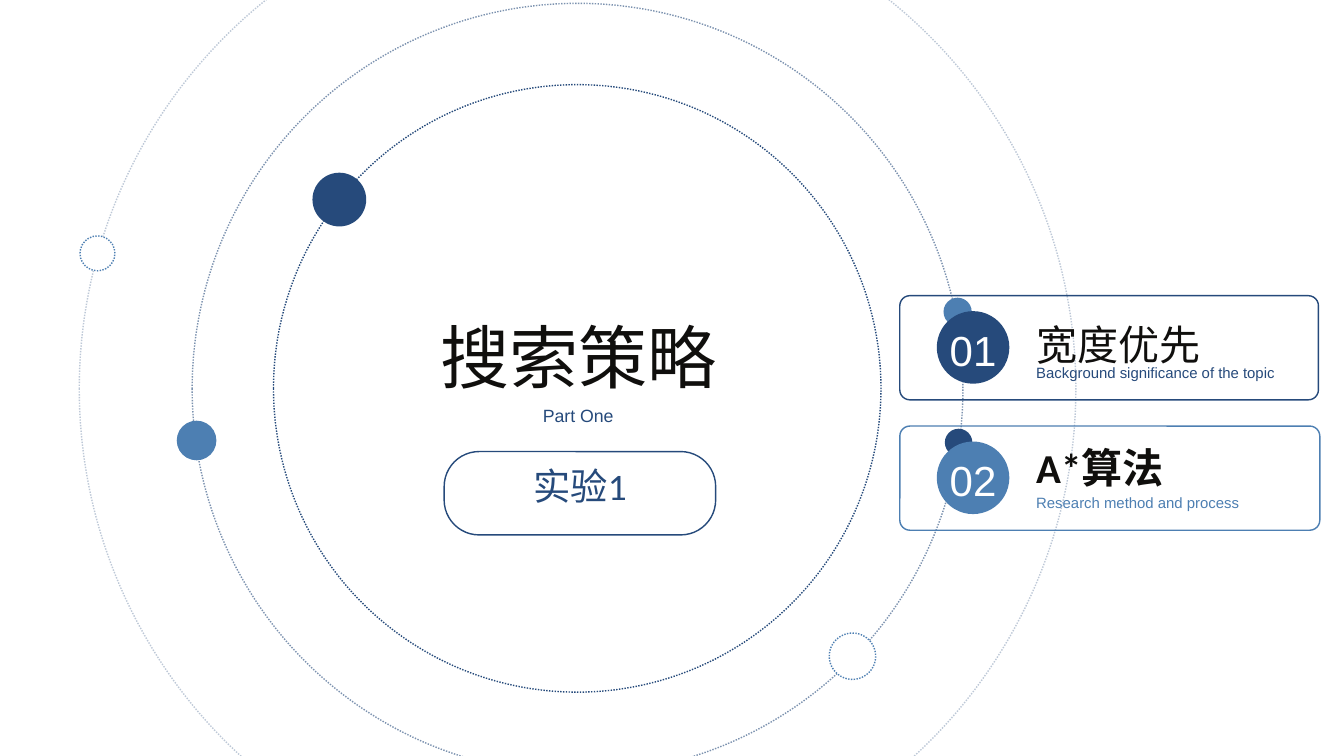
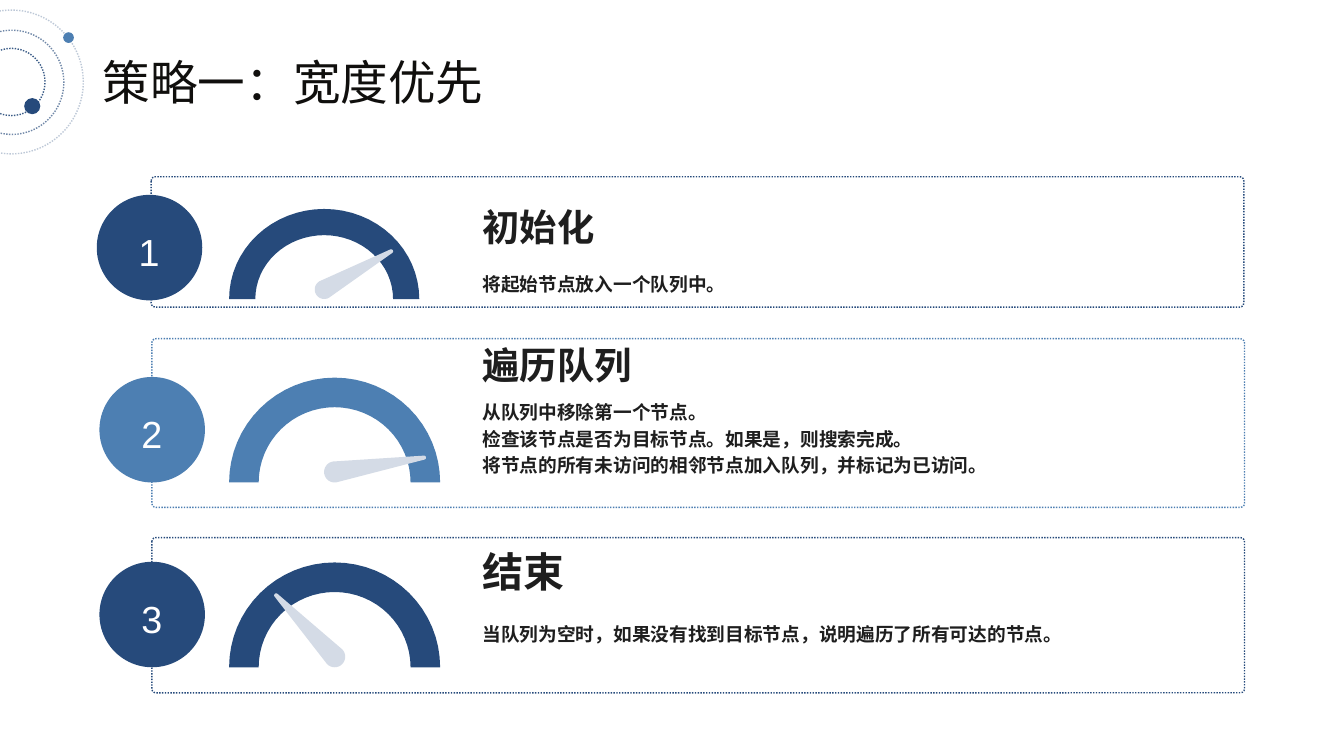
"""Build the two slides on search strategies, in px of a hundredth of an inch."""
from dataclasses import dataclass
from math import atan2, cos, pi, sin

from lxml import etree
from pptx import Presentation
from pptx.dml.color import RGBColor
from pptx.enum.dml import MSO_LINE
from pptx.enum.shapes import MSO_SHAPE
from pptx.enum.text import PP_ALIGN
from pptx.oxml.ns import qn
from pptx.util import Pt

PX = 9144
OVAL, ROUNDED = MSO_SHAPE.OVAL, MSO_SHAPE.ROUNDED_RECTANGLE
DOTTED = MSO_LINE.ROUND_DOT
LEFT, CENTER, JUSTIFY = PP_ALIGN.LEFT, PP_ALIGN.CENTER, PP_ALIGN.JUSTIFY


@dataclass(frozen=True)
class Theme:
    navy: str = "264A7B"
    blue: str = "4D7FB2"
    pale: str = "D4DBE6"
    white: str = "FFFFFF"
    ink: str = "100F0D"
    dark: str = "1E1E1E"
    title_font: str = "Calibri"
    latin_font: str = "Arial"
    chinese_font: str = "Noto Sans CJK SC"
    cover: float = 74
    title: float = 51
    number: float = 45
    card: float = 44
    step: float = 40
    step_number: float = 40.4
    body: float = 20
    subtitle: float = 19
    caption: float = 16
    line: float = 1.5


def arc(center, radius, start, end, steps=32):
    x, y = center
    angles = [start + (end - start) * i / steps for i in range(steps + 1)]
    return [(x + radius[0] * cos(a), y + radius[1] * sin(a)) for a in angles]


class Page:
    def __init__(self, deck, theme):
        self.deck, self.theme = deck, theme
        self.slide = None

    def new(self):
        self.slide = self.deck.slides.add_slide(self.deck.slide_layouts[6])

    def paint(self, shape, fill=None, line=None, dotted=False, opacity=100):
        shape.shadow.inherit = False
        if fill:
            shape.fill.solid()
            shape.fill.fore_color.rgb = RGBColor.from_string(fill)
        else:
            shape.fill.background()
        if not line:
            shape.line.fill.background()
            return
        shape.line.color.rgb = RGBColor.from_string(line)
        shape.line.width = Pt(self.theme.line)
        if dotted:
            shape.line.dash_style = DOTTED
        if opacity < 100:
            for color in shape.line._ln.iter(qn("a:srgbClr")):
                etree.SubElement(color, qn("a:alpha"), val=str(opacity * 1000))

    def preset(self, kind, box, **style):
        shape = self.slide.shapes.add_shape(kind, *(n * PX for n in box))
        self.paint(shape, **style)
        return shape

    def dot(self, left, top, size, **style):
        self.preset(OVAL, (left, top, size, size), **style)

    def panel(self, box, radius, **style):
        shape = self.preset(ROUNDED, box, **style)
        shape.adjustments[0] = radius / min(box[2:])

    def rings(self, x, y, sizes):
        for size, opacity in sizes:
            self.dot(x - size // 2, y - size // 2, size, line=self.theme.navy,
                     dotted=True, opacity=opacity)

    def outline(self, points, fill):
        points = [(round(x * PX), round(y * PX)) for x, y in points]
        builder = self.slide.shapes.build_freeform(*points[0])
        builder.add_line_segments(points[1:], close=True)
        self.paint(builder.convert_to_shape(), fill=fill)

    def gauge(self, left, base, width, height, band, tip, color):
        x = left + width / 2
        outer = arc((x, base), (width / 2, height), pi, 2 * pi)
        inner = arc((x, base), (width / 2 - band, height - band), 2 * pi, pi)
        self.outline(outer + inner, color)
        hub = width / 20
        pivot = (x, base - hub)
        angle = atan2(tip[1] - pivot[1], tip[0] - pivot[0])
        self.outline(arc(pivot, (hub, hub), angle + pi / 2, angle + 3 * pi / 2, 16)
                     + arc(tip, (3, 3), angle - pi / 2, angle + pi / 2, 8),
                     self.theme.pale)

    def text(self, box, words, size, spacing, color, font, align=LEFT, bold=False):
        frame = self.slide.shapes.add_textbox(*(n * PX for n in box)).text_frame
        frame.word_wrap = True
        frame.margin_left = frame.margin_right = 0
        frame.margin_top = frame.margin_bottom = 0
        frame.text = words
        for para in frame.paragraphs:
            para.alignment = align
            para.line_spacing = Pt(spacing)
            for span in para.runs:
                span.font.size = Pt(size)
                span.font.bold = bold
                span.font.color.rgb = RGBColor.from_string(color)
                span.font.name = font
                etree.SubElement(span.font._rPr, qn("a:ea"),
                                 typeface=self.theme.chinese_font)

    def card(self, top, width, color, accent, dot, number, name, name_box, name_spacing,
             caption, bold):
        theme = self.theme
        self.dot(*dot, fill=accent)
        self.panel((1339, top, width, 155), 15, line=color)
        self.text((1542, top + 24, 542, name_box), name, theme.card, name_spacing,
                  theme.ink, theme.title_font, bold=bold)
        self.text((1542, top + 101, 542, 27), caption, theme.caption, 19.2, color,
                  theme.latin_font)
        self.dot(1394, top + 23, 108, fill=color)
        self.text((1389, top + 43, 118, 76), number, theme.number, 54, theme.white,
                  theme.latin_font, CENTER)

    def step(self, number, color, panel, gauge, tip, heading, body, badge):
        theme = self.theme
        self.panel(panel, 6, line=color, dotted=True)
        self.gauge(341, *gauge, tip, color)
        top, height, words = body
        self.text((718, top, 1079, height), words, theme.body, 28.6, theme.dark,
                  theme.chinese_font, JUSTIFY, True)
        top, size, words = heading
        self.text((718, top, 289, 61), words, size, 43.7, theme.dark,
                  theme.chinese_font, bold=True)
        left, top = badge
        self.dot(left, top, 157, fill=color)
        self.text((left + 8, top + 50, 140, 68), number, theme.step_number, 48.4,
                  theme.white, theme.latin_font, CENTER)


def section_slide(page):
    theme = page.theme
    page.new()
    page.rings(859, 578, [(1483, 30), (1147, 60), (904, 100)])
    page.dot(465, 257, 80, fill=theme.navy)
    page.dot(263, 626, 59, fill=theme.blue)
    for left, top, size in [(1234, 942, 69), (119, 351, 52)]:
        page.dot(left, top, size, fill=theme.white, line=theme.blue, dotted=True)
    page.text((443, 456, 836, 137), "搜索策略", theme.cover, 97.7, theme.ink,
              theme.title_font, CENTER)
    page.text((534, 602, 653, 32), "Part One", theme.subtitle, 22.8, theme.navy,
              theme.latin_font, CENTER)
    page.panel((661, 672, 404, 124), 52, line=theme.navy)
    page.text((712, 712, 302, 44), "实验1", theme.step, 31.7, theme.navy,
              theme.title_font, CENTER)
    page.card(440, 623, theme.navy, theme.blue, (1404, 443, 42), "01", "宽度优先", 86,
              61.2, "Background significance of the topic", False)
    page.card(634, 625, theme.blue, theme.navy, (1406, 638, 41), "02", "A*算法", 74,
              52.8, "Research method and process", True)


def breadth_first_slide(page):
    theme = page.theme
    page.new()
    page.text((153, 79, 684, 86), "策略一：宽度优先", theme.title, 61.2, theme.ink,
              theme.title_font)
    page.rings(17, 122, [(214, 30), (155, 65), (100, 90)])
    page.dot(36, 146, 24, fill=theme.navy)
    page.dot(94, 48, 16, fill=theme.blue)
    page.step("1", theme.navy, (225, 263, 1626, 194), (445, 283, 134, 39), (582, 374),
              (310, theme.step, "初始化"),
              (399, 40, "将起始节点放入一个队列中。"), (144, 290))
    page.step("2", theme.blue, (226, 504, 1626, 251), (718, 314, 156, 44), (631, 681),
              (515, theme.step, "遍历队列"),
              (590, 170, "从队列中移除第一个节点。\n"
               "检查该节点是否为目标节点。如果是，则搜索完成。\n"
               "将节点的所有未访问的相邻节点加入队列，并标记为已访问。"), (148, 561))
    page.step("3", theme.navy, (226, 800, 1626, 231), (993, 314, 156, 44), (411, 886),
              (826, theme.card, "结束"),
              (921, 40, "当队列为空时，如果没有找到目标节点，说明遍历了所有可达的节点。"),
              (148, 836))


def main():
    deck = Presentation()
    deck.slide_width, deck.slide_height = 2000 * PX, 1125 * PX
    page = Page(deck, Theme())
    section_slide(page)
    breadth_first_slide(page)
    deck.save("out.pptx")


if __name__ == "__main__":
    main()
